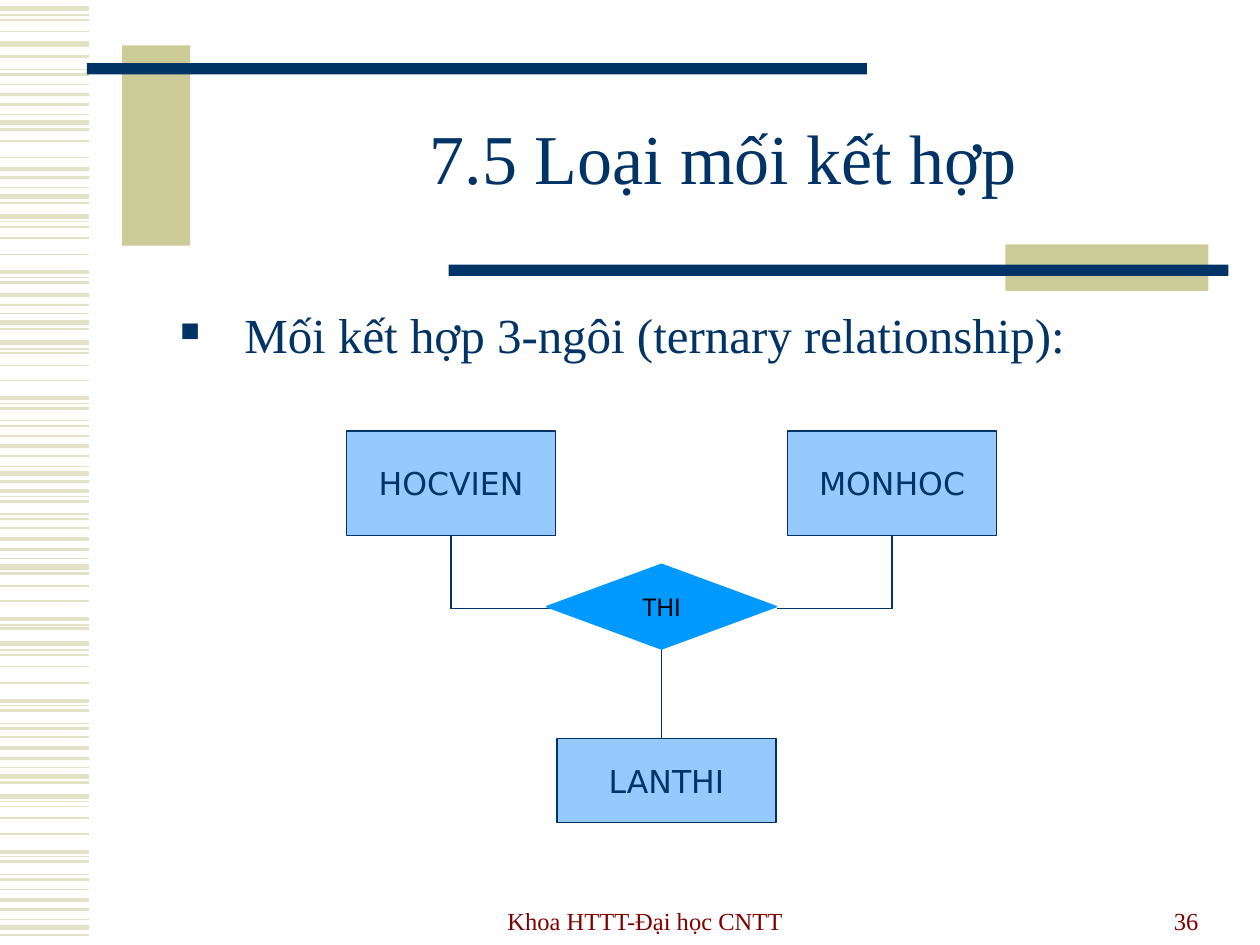
from pptx import Presentation
from pptx.dml.color import RGBColor
from pptx.enum.shapes import MSO_CONNECTOR, MSO_SHAPE
from pptx.enum.text import MSO_ANCHOR, PP_ALIGN
from pptx.oxml.ns import qn
from pptx.util import Inches, Pt
from lxml.etree import SubElement

NAVY, SAND, PALE = "003366", "CCCC99", "E3E2C7"
SKY, BLUE, RED, BLACK = "96CAFF", "0099FF", "800000", "000000"
SERIF, SANS = "Times New Roman", "DejaVu Sans"
LEFT, MID, RIGHT = PP_ALIGN.LEFT, PP_ALIGN.CENTER, PP_ALIGN.RIGHT

STRIPES = {
    0.75: [0.12, 0.55, 0.91, 1.49, 1.76, 2.2, 2.49, 2.77, 3.2, 3.34, 3.7, 3.94,
           4.08, 4.43, 4.96, 5.16, 5.6, 5.74, 6.09, 6.36, 6.8, 6.94, 7.3],
    1: [0.16, 0.25, 0.67, 1.12, 1.25, 1.8, 1.89, 2.02, 2.8, 2.9, 3.02, 3.46,
        4.19, 4.65, 4.77, 5.2, 5.29, 5.42, 5.85, 6.4, 6.49, 6.62, 7.06],
    1.5: [0.45, 0.59, 0.83, 1.03, 1.41, 1.61, 2.24, 2.42, 2.61, 3.24, 3.38,
          3.62, 3.82, 3.98, 4.12, 4.36, 4.55, 4.99, 5.64, 5.78, 6.02, 6.21,
          6.84, 6.98, 7.22, 7.42],
    2.25: [0.75, 1.34, 2.16, 2.34, 3.16, 3.54, 3.9, 4.28, 4.91, 5.56, 5.94,
           6.76, 7.14],
    3: [0.07, 0.35, 0.97, 1.56, 1.72, 2.56, 2.72, 3.76, 4.5, 5.11, 6.16, 6.32,
        7.36],
}
BARS = [
    (0.97, 0.36, 0.54, 1.59, SAND),
    (0.69, 0.5, 6.19, 0.09, NAVY),
    (7.98, 1.94, 1.61, 0.37, SAND),
    (3.56, 2.1, 6.19, 0.09, NAVY),
]
TEXTS = [
    ("Khoa HTTT-Đại học CNTT", (3.43, 6.97, 3.38, 0.5), 14, RED, MID, MSO_ANCHOR.BOTTOM, 1),
    ("36", (7.21, 6.97, 2.4, 0.5), 14, RED, RIGHT, MSO_ANCHOR.BOTTOM, 1),
    ("7.5 Loại mối kết hợp", (1.48, 0.67, 8.52, 1.25), 40, NAVY, MID, MSO_ANCHOR.MIDDLE, 0.85),
    ("Mối kết hợp 3-ngôi (ternary relationship):", (0.89, 2.42, 9.11, 4.24), 28, NAVY, LEFT, MSO_ANCHOR.TOP, 0.9),
]
ENTITIES = [
    ("HOCVIEN", (2.75, 3.42, 1.66, 0.83)),
    ("MONHOC", (6.25, 3.42, 1.66, 0.83)),
    ("LANTHI", (4.42, 5.86, 1.74, 0.67)),
]
TURN = 4.83
ARMS = [("HOCVIEN", 3.58, 4.5), ("MONHOC", 7.08, 6.17)]

deck = Presentation()
deck.slide_width, deck.slide_height = Inches(10), Inches(7.5)
slide = deck.slides.add_slide(deck.slide_layouts[6])
shapes = slide.shapes


def color(code):
    return RGBColor.from_string(code)


def add_line(x1, y1, x2, y2, code, width=0.75):
    line = shapes.add_connector(MSO_CONNECTOR.STRAIGHT, *map(Inches, (x1, y1, x2, y2)))
    line.line.color.rgb = color(code)
    line.line.width = Pt(width)
    SubElement(line._element.spPr, qn("a:effectLst"))
    return line


def add_box(kind, place, fill, edge=None, width=0.75):
    box = shapes.add_shape(kind, *map(Inches, place))
    box.shadow.inherit = False
    box.fill.solid()
    box.fill.fore_color.rgb = color(fill)
    if edge:
        box.line.color.rgb = color(edge)
        box.line.width = Pt(width)
    else:
        box.line.fill.background()
    return box


def put_text(box, text, size, font, code, align=MID, anchor=MSO_ANCHOR.MIDDLE, wrap=True):
    frame = box.text_frame
    frame.text = text
    frame.word_wrap = wrap
    frame.vertical_anchor = anchor
    para = frame.paragraphs[0]
    para.alignment = align
    style = para.runs[0].font
    style.size, style.name = Pt(size), font
    style.color.rgb = color(code)
    return para


def add_bullet(para):
    para.space_before = Pt(7)
    props = para._p.get_or_add_pPr()
    props.set("marL", str(Inches(0.95)))
    props.set("indent", str(Inches(-0.51)))
    tint = SubElement(props, qn("a:buClr"))
    SubElement(tint, qn("a:srgbClr")).set("val", NAVY)
    SubElement(props, qn("a:buSzPct")).set("val", "55000")
    SubElement(props, qn("a:buChar")).set("char", "■")


for width, rows in STRIPES.items():
    for y in rows:
        add_line(0, y, 0.71, y, PALE, width)

for *place, fill in BARS:
    add_box(MSO_SHAPE.RECTANGLE, place, fill)

for text, place, size, code, align, anchor, spacing in TEXTS:
    box = shapes.add_textbox(*map(Inches, place))
    para = put_text(box, text, size, SERIF, code, align, anchor)
    para.line_spacing = spacing
    if align == LEFT:
        add_bullet(para)

nodes = {}
for name, place in ENTITIES:
    nodes[name] = add_box(MSO_SHAPE.RECTANGLE, place, SKY, NAVY)
    put_text(nodes[name], name, 18, SANS, NAVY, wrap=False)

for name, x, end in ARMS:
    add_line(x, 4.25, x, TURN, NAVY).begin_connect(nodes[name], 2)
    add_line(x, TURN, end, TURN, NAVY)

stem = add_line(5.25, 5.15, 5.25, 5.86, NAVY)
link = add_box(MSO_SHAPE.FLOWCHART_DECISION, (4.34, 4.48, 1.82, 0.67), BLUE, BLUE, 1)
put_text(link, "THI", 14, "Roboto", BLACK).space_before = Pt(8.8)
stem.begin_connect(link, 2)

deck.save("out.pptx")
